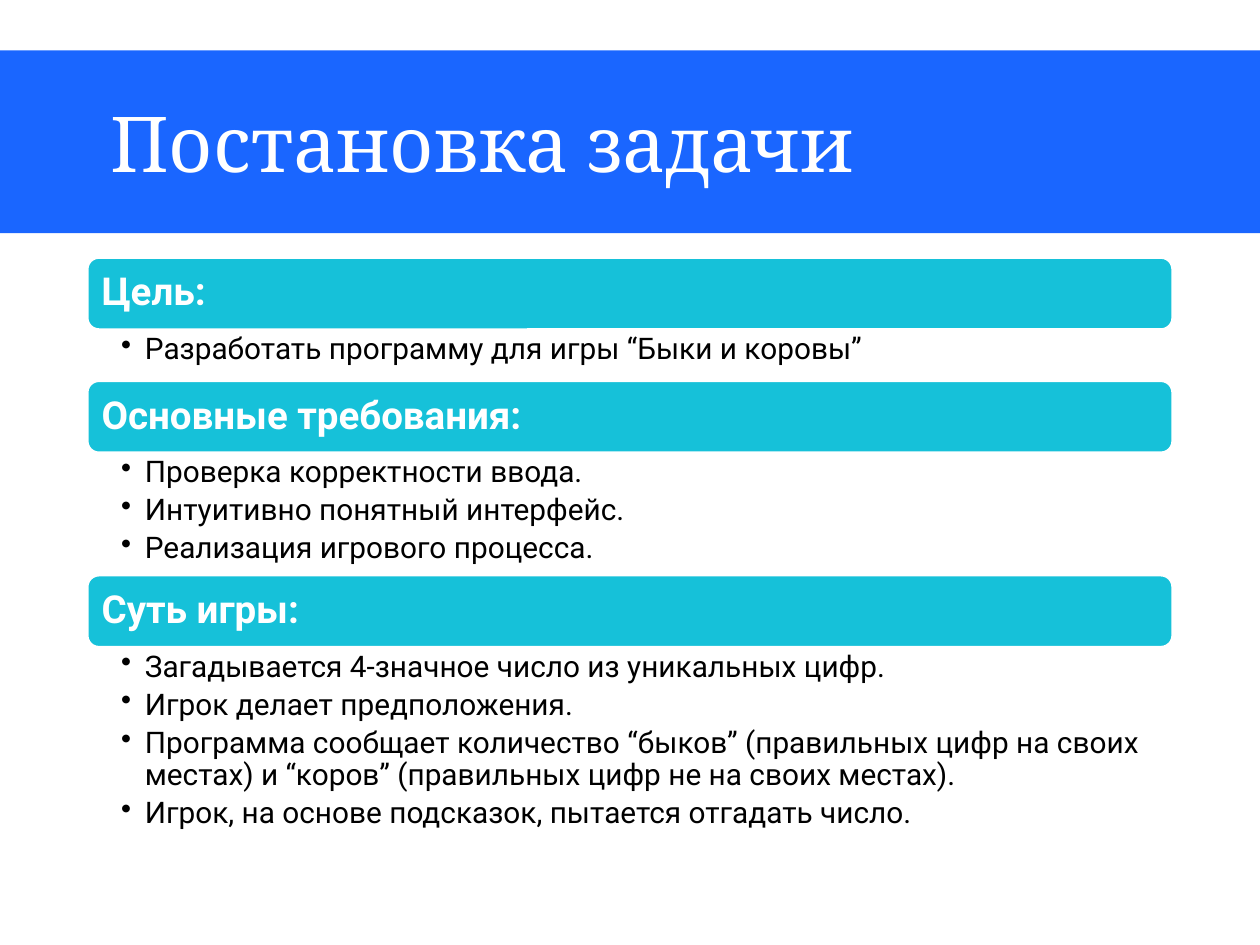
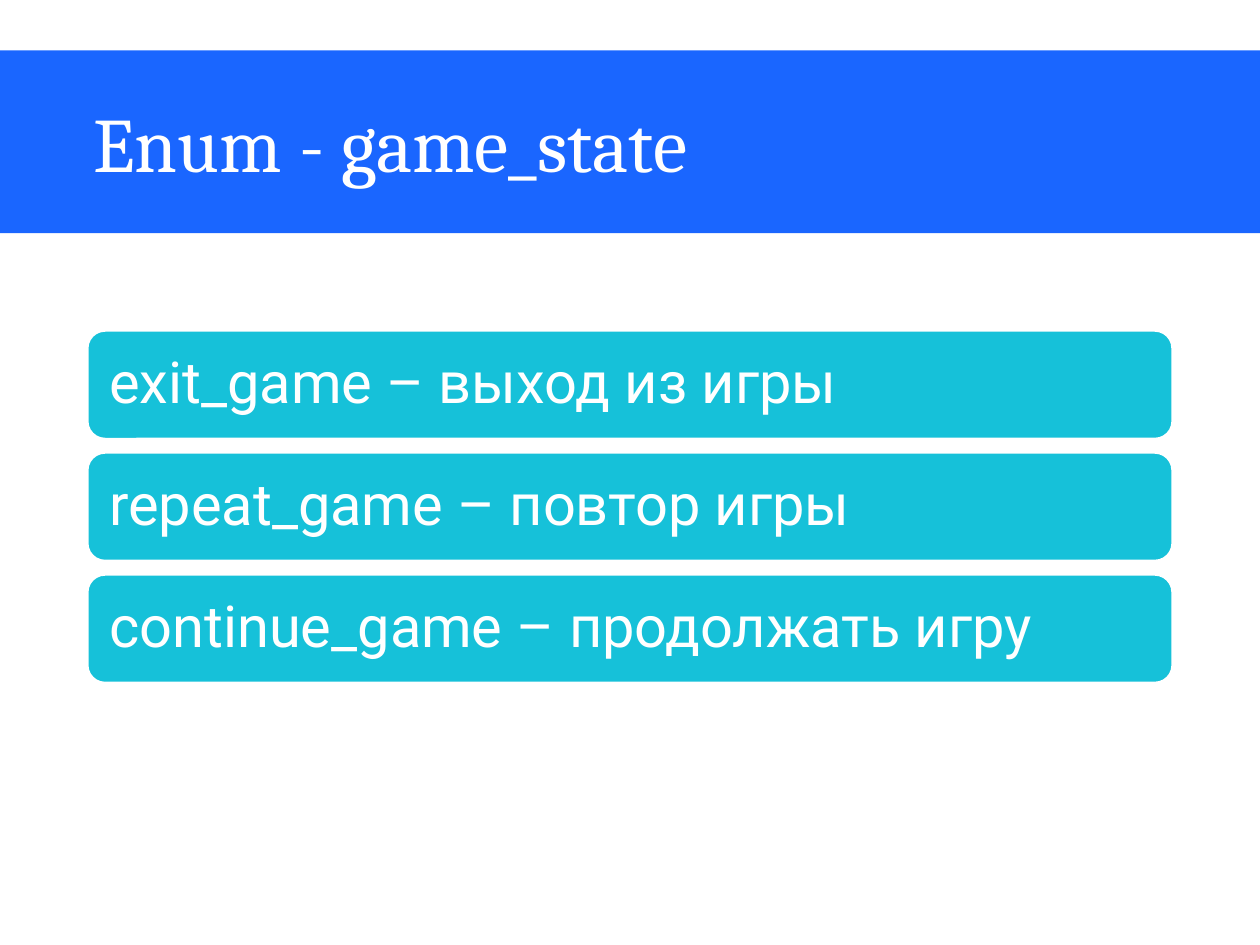
from lxml import etree
from pptx import Presentation
from pptx.dml.color import RGBColor
from pptx.enum import shapes, text
from pptx.oxml import ns
from pptx.util import Pt

BLUE = RGBColor(0x1A, 0x66, 0xFF)
TEAL = RGBColor(0x16, 0xC1, 0xD9)
WHITE = RGBColor(0xFF, 0xFF, 0xFF)
BLACK = RGBColor(0, 0, 0)
HEAD_FONT = "Cambria"
BODY_FONT = "Roboto"
LEFT, WIDTH = Pt(49.6), Pt(620.8)
BAND_TOP, BAND_HEIGHT = Pt(28.8), Pt(104.4)


def put_text(sp, lines, size, color=WHITE, font=BODY_FONT, bold=False, insets=(3.6, 3.6, 3.6, 3.6),
             anchor=text.MSO_ANCHOR.MIDDLE, spacing=0.9, after=0, bullet_indent=None):
    tf = sp.text_frame
    tf.word_wrap = True
    tf.auto_size = text.MSO_AUTO_SIZE.NONE
    tf.vertical_anchor = anchor
    tf.margin_left, tf.margin_top, tf.margin_right, tf.margin_bottom = map(Pt, insets)
    for i, line in enumerate(lines):
        p = tf.add_paragraph() if i else tf.paragraphs[0]
        p.alignment = text.PP_ALIGN.LEFT
        p.line_spacing = spacing
        p.space_after = Pt(after)
        if bullet_indent:
            pPr = p._p.get_or_add_pPr()
            pPr.set("marL", str(Pt(bullet_indent)))
            pPr.set("indent", str(-Pt(bullet_indent)))
            etree.SubElement(pPr, ns.qn("a:buChar")).set("char", "•")
        r = p.add_run()
        r.text = line
        r.font.name, r.font.size, r.font.bold = font, Pt(size), bold
        r.font.color.rgb = color


def add_bar(s, top, height, label, size, inset, bold=False):
    sp = s.shapes.add_shape(shapes.MSO_SHAPE.ROUNDED_RECTANGLE, LEFT, Pt(top), WIDTH, Pt(height))
    sp.shadow.inherit = False
    sp.fill.solid()
    sp.fill.fore_color.rgb = TEAL
    sp.line.color.rgb = WHITE
    sp.line.width = Pt(2)
    put_text(sp, [label], size, bold=bold, insets=(inset,) * 4, after=size * 0.35)


prs = Presentation()
prs.slide_width, prs.slide_height = Pt(720), Pt(540)
layout = prs.slide_layouts.get_by_name("Title Only")
title = layout.placeholders[0]
title.left, title.top, title.width, title.height = LEFT, BAND_TOP, WIDTH, BAND_HEIGHT

task, states = [prs.slides.add_slide(layout) for _ in range(2)]

band = task.shapes.add_shape(shapes.MSO_SHAPE.RECTANGLE, 0, BAND_TOP, prs.slide_width, BAND_HEIGHT)
band.shadow.inherit = False
band.fill.solid()
band.fill.fore_color.rgb = BLUE
band.line.fill.background()
layout.shapes._spTree.insert(2, band._element)

for s, heading, left_inset in ((task, "Постановка задачи", 13.3), (states, "Enum - game_state", 3.6)):
    put_text(s.shapes.title, [heading], 44, font=HEAD_FONT, spacing=1.0,
             insets=(left_inset, 3.6, 3.6, 3.6))

sections = [
    ("Цель:", 28.7, ["Разработать программу для игры “Быки и коровы”"]),
    ("Основные требования:", 69.4, [
        "Проверка корректности ввода.",
        "Интуитивно понятный интерфейс.",
        "Реализация игрового процесса.",
    ]),
    ("Суть игры:", 110.9, [
        "Загадывается 4-значное число из уникальных цифр.",
        "Игрок делает предположения.",
        "Программа сообщает количество “быков” (правильных цифр на своих местах) "
        "и “коров” (правильных цифр не на своих местах).",
        "Игрок, на основе подсказок, пытается отгадать число.",
    ]),
]
top, bar_height = 146.9, 41.7
for label, list_height, items in sections:
    add_bar(task, top, bar_height, label, 22, 6.5, bold=True)
    top += bar_height
    box = task.shapes.add_textbox(LEFT, Pt(top), WIDTH, Pt(list_height))
    put_text(box, items, 17, color=BLACK, insets=(19.7, 2.2, 12.2, 2.2),
             anchor=text.MSO_ANCHOR.TOP, after=3.4, bullet_indent=13.5)
    top += list_height

state_lines = [
    "exit_game – выход из игры",
    "repeat_game – повтор игры",
    "continue_game – продолжать игру",
]
for i, line in enumerate(state_lines):
    add_bar(states, 188.6 + i * 69.7, 62.6, line, 33, 9.9)

prs.save("out.pptx")
